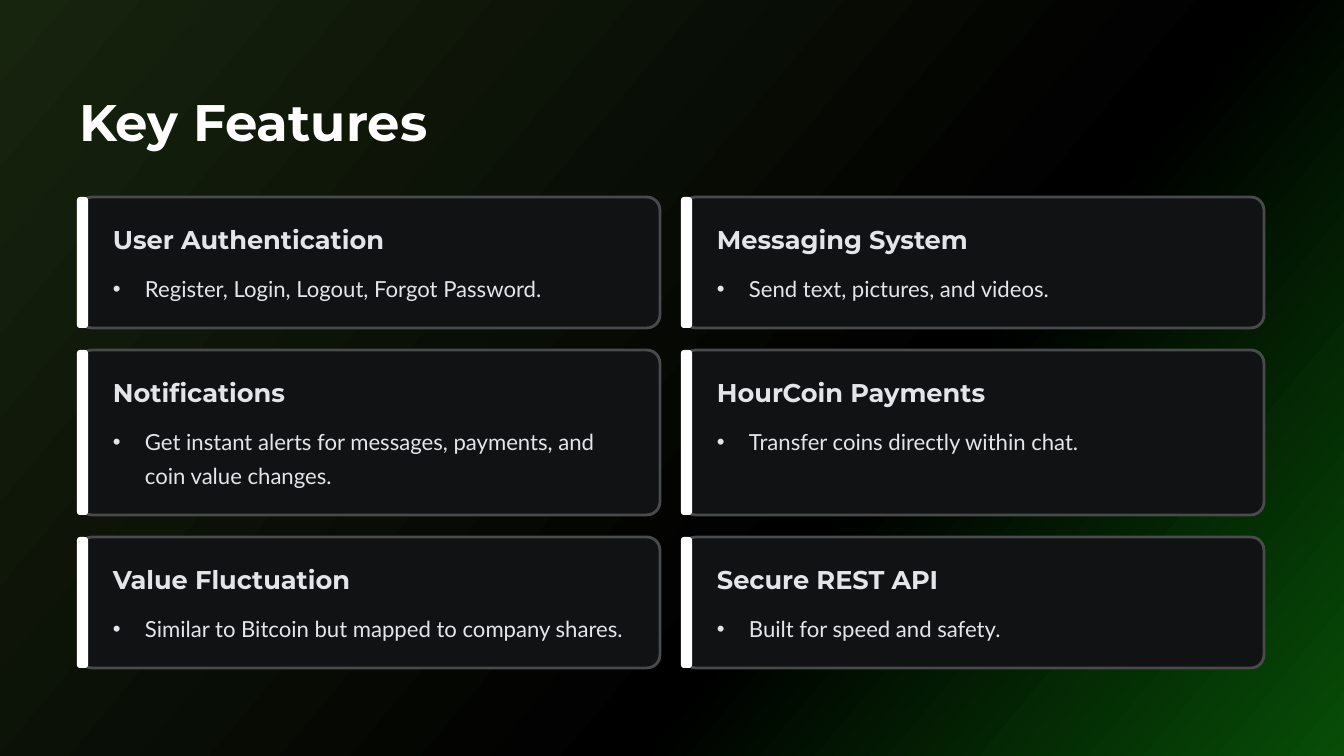
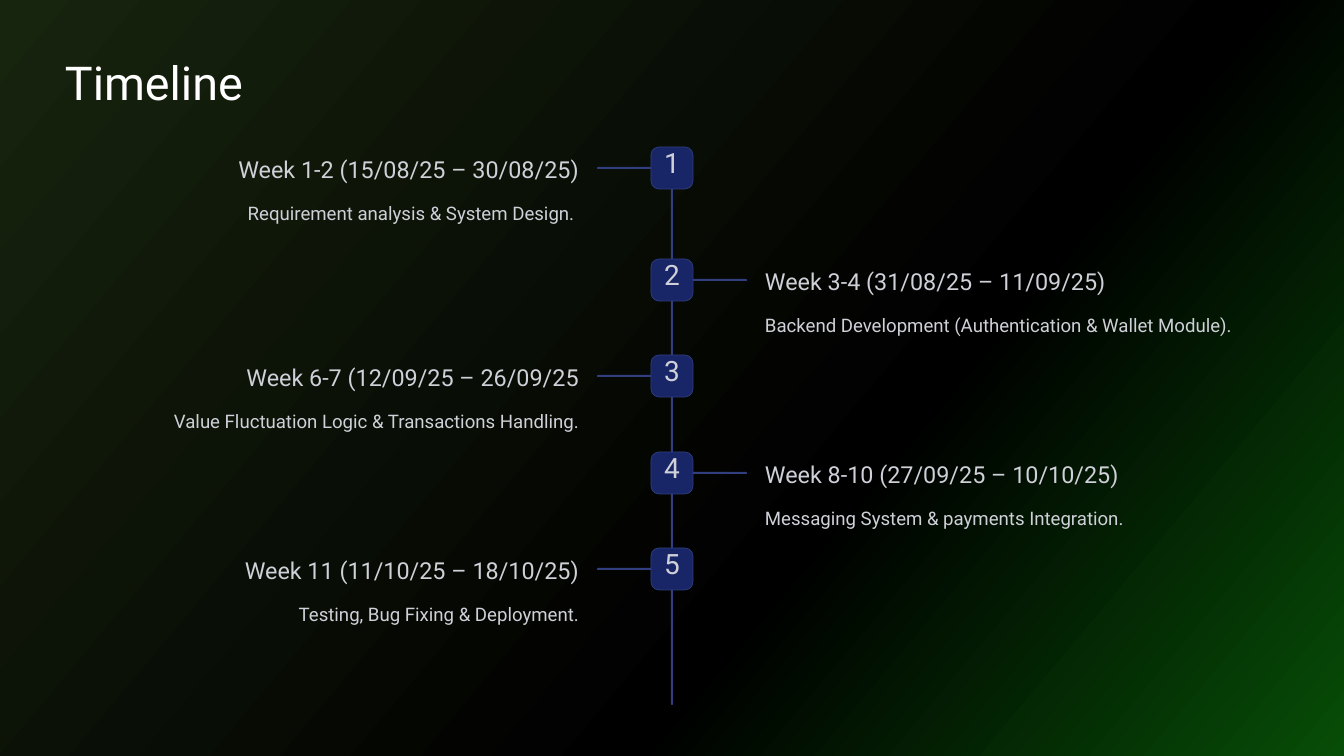
from copy import deepcopy
from lxml.etree import SubElement
from pptx import Presentation
from pptx.dml.color import RGBColor as RGB
from pptx.enum.shapes import MSO_SHAPE as Shape
from pptx.enum.text import PP_ALIGN as Align
from pptx.oxml.ns import qn
from pptx.util import Emu, Pt

WHITE = RGB(0xFF, 0xFF, 0xFF)
PANEL = RGB(0x11, 0x12, 0x13)
EDGE = RGB(0x49, 0x4A, 0x4B)
PALE = RGB(0xE2, 0xE6, 0xE9)
MIST = RGB(0xCF, 0xD0, 0xD8)
NAVY = RGB(0x18, 0x25, 0x67)
BLUE = RGB(0x31, 0x3E, 0x80)
FADE = [
    (0, RGB(0x17, 0x24, 0x0E)),
    (0.64, RGB(0, 0, 0)),
    (1, RGB(0x07, 0x4D, 0x07)),
]

FEATURES = [
    (131, [
        ("User Authentication", "Register, Login, Logout, Forgot Password."),
        ("Messaging System", "Send text, pictures, and videos."),
    ]),
    (165, [
        ("Notifications", "Get instant alerts for messages, payments, and coin value changes."),
        ("HourCoin Payments", "Transfer coins directly within chat."),
    ]),
    (131, [
        ("Value Fluctuation", "Similar to Bitcoin but mapped to company shares."),
        ("Secure REST API", "Built for speed and safety."),
    ]),
]

WEEKS = [
    (147, "Week 1-2 (15/08/25 – 30/08/25)", "Requirement analysis & System Design. "),
    (259, "Week 3-4 (31/08/25 – 11/09/25)", "Backend Development (Authentication & Wallet Module)."),
    (355, "Week 6-7 (12/09/25 – 26/09/25", "Value Fluctuation Logic & Transactions Handling."),
    (452, "Week 8-10 (27/09/25 – 10/10/25)", "Messaging System & payments Integration."),
    (548, "Week 11 (11/10/25 – 18/10/25)", "Testing, Bug Fixing & Deployment."),
]


def px(n):
    return Emu(round(n * 914400 / 84))


def write(slide, text, x, y, w, h, size, lead, font="Roboto", color=MIST,
          bold=False, align=Align.LEFT, bullet=False):
    box = slide.shapes.add_textbox(px(x), px(y), px(w), px(h))
    frame = box.text_frame
    frame.word_wrap = True
    frame.margin_left = frame.margin_right = 0
    frame.margin_top = frame.margin_bottom = 0
    para = frame.paragraphs[0]
    if bullet:
        props = para._p.get_or_add_pPr()
        props.set("marL", str(px(32)))
        props.set("indent", str(-px(32)))
        SubElement(props, qn("a:buFont"), typeface="Arial")
        SubElement(props, qn("a:buChar"), char="•")
    para.alignment = align
    para.line_spacing = Pt(lead)
    run = para.add_run()
    run.text = text
    run.font.name = font
    run.font.size = Pt(size)
    run.font.bold = bold
    run.font.color.rgb = color


def block(slide, x, y, w, h, radius, fill, line=None, weight=0):
    shape = slide.shapes.add_shape(Shape.ROUNDED_RECTANGLE, px(x), px(y), px(w), px(h))
    shape.adjustments[0] = round(radius / min(w, h), 2)
    shape.shadow.inherit = False
    shape.fill.solid()
    shape.fill.fore_color.rgb = fill
    if line is None:
        shape.line.fill.background()
    else:
        shape.line.color.rgb = line
        shape.line.width = Pt(weight)


def paint(master):
    fill = master.background.fill
    fill.gradient()
    fill.gradient_angle = 320
    stops = next(master.element.iter(qn("a:gsLst")))
    stops.append(deepcopy(stops[0]))
    for stop, (place, color) in zip(fill.gradient_stops, FADE):
        stop.position = place
        stop.color.rgb = color


def features(slide):
    write(slide, "Key Features", 79, 88, 515, 65, 44, 55,
          font="Montserrat", color=WHITE, bold=True)
    wide, top, gap = 581, 197, 22
    for high, cards in FEATURES:
        for col, (head, body) in enumerate(cards):
            left = 79 + col * (wide + 23)
            block(slide, left, top, wide, high, 13, PANEL, EDGE, 2.4)
            block(slide, left - 2, top, 11, high, 3, WHITE)
            write(slide, head, left + 34, top + 26, 522, 32, 22, 27.5,
                  font="Montserrat", color=PALE, bold=True)
            write(slide, body, left + 34, top + 71, 522, high - 97, 19, 29,
                  font="Lato", color=PALE, bullet=True)
        top += high + gap


def timeline(slide):
    write(slide, "Timeline", 65, 52, 467, 58, 40, 50, color=WHITE)
    mid, side, wide = 672, 42, 513
    block(slide, mid - 1, 147, 2, 558, 1, BLUE)
    for num, (top, head, body) in enumerate(WEEKS, 1):
        left = num % 2 == 1
        align = Align.RIGHT if left else Align.LEFT
        x = mid - 93 - wide if left else mid + 93
        block(slide, mid - 75 if left else mid + 19, top + 20, 56, 2, 1, BLUE)
        block(slide, mid - side // 2, top, side, side, 8, NAVY, BLUE, 0.6)
        write(slide, str(num), mid - 14, top + 4, 28, 35, 24, 24, align=Align.CENTER)
        write(slide, head, x, top + 7, wide, 29, 20, 25, align=align)
        write(slide, body, x, top + 47, wide, 30, 16, 25.5, align=align)


def main():
    deck = Presentation()
    deck.slide_width, deck.slide_height = px(1344), px(756)
    paint(deck.slide_master)
    for draw in (features, timeline):
        draw(deck.slides.add_slide(deck.slide_layouts[6]))
    deck.save("out.pptx")


if __name__ == "__main__":
    main()
